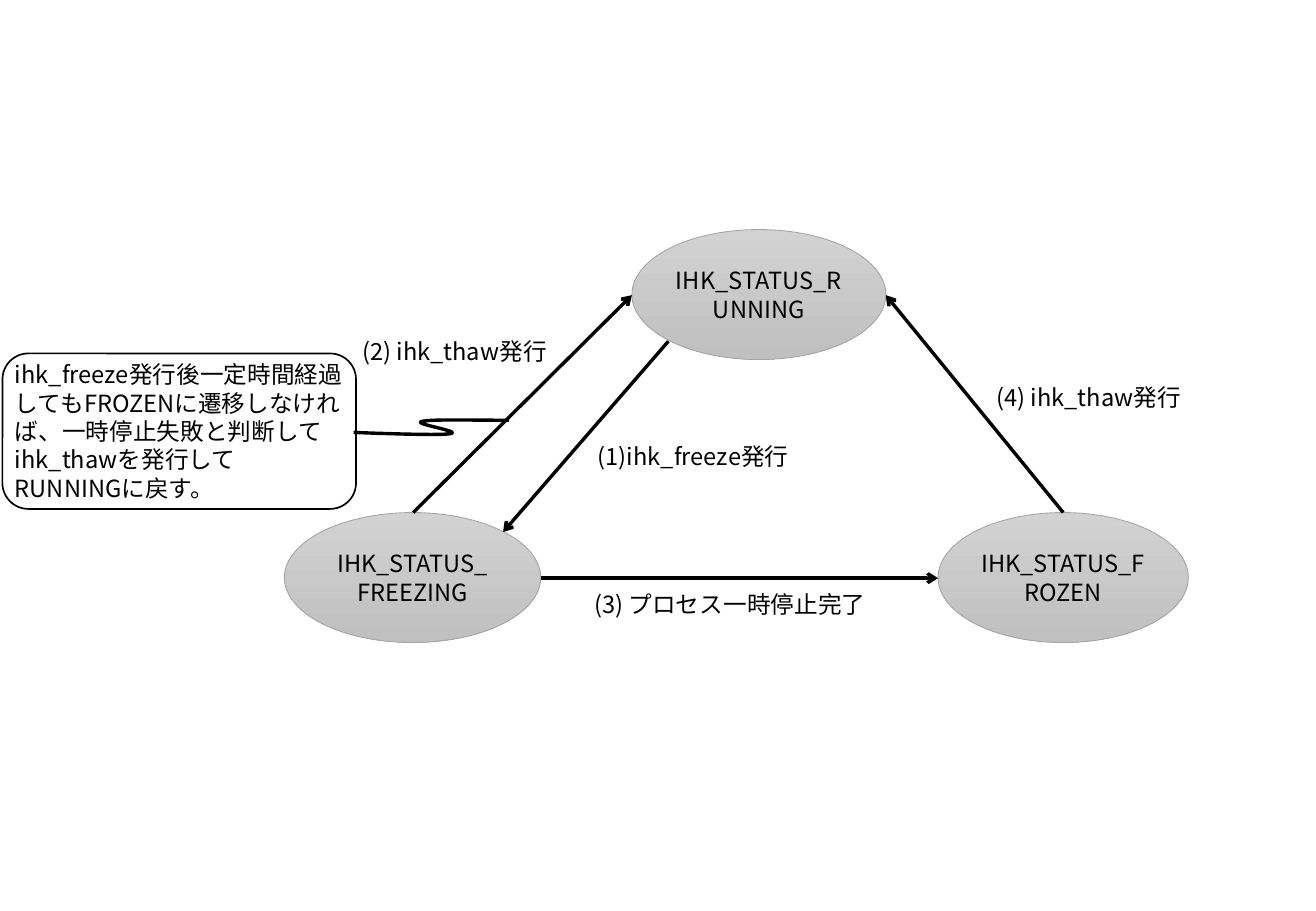
from lxml import etree
from pptx import Presentation
from pptx import util as u
from pptx.dml.color import RGBColor
from pptx.enum import shapes, text
from pptx.oxml import ns

FONT = "Noto Sans CJK JP"
BLACK = "000000"
STATE_TOP, STATE_BOTTOM = 1.89, 4.22
STATE_HEIGHT = 1.07
LABEL_HEIGHT = 0.32
INDENT = 0.16
STATES = [
    (["IHK_STATUS_RUNNING"], 5.2, STATE_TOP, 2.09),
    (["IHK_STATUS_", "FREEZING"], 2.34, STATE_BOTTOM, 2.11),
    (["IHK_STATUS_FROZEN"], 7.72, STATE_BOTTOM, 2.06),
]
ARROWS = [
    ((5.5, 2.81), (4.14, 4.38)),
    ((3.4, 4.22), (5.2, 2.43)),
    ((4.45, 4.76), (7.72, 4.76)),
    ((8.75, 4.22), (7.29, 2.43)),
]
LABELS = [
    ("(1)ihk_freeze発行", 4.88, 3.6, 1.88),
    ("(2) ihk_thaw発行", 2.94, 2.73, 1.8),
    ("(3) プロセス一時停止完了", 4.85, 4.82, 2.53),
    ("(4) ihk_thaw発行", 8.16, 3.11, 1.74),
]
NOTE = [
    "ihk_freeze発行後一定時間経過してもFROZENに遷移しなければ、一時停止失敗と判断してihk_thawを発行して",
    "RUNNINGに戻す。",
]
NOTE_BOX = (0.02, 2.91, 2.91, 1.28)
LEADER_START = (4.19, 3.46)
LEADER_CURVES = [
    ((3.87, 3.46), (3.55, 3.45), (3.47, 3.47)),
    ((3.39, 3.49), (3.8, 3.55), (3.71, 3.57)),
    ((3.62, 3.59), (2.91, 3.56), (2.91, 3.56)),
]
CURVE_STEPS = 16


def color(hex_value):
    return RGBColor.from_string(hex_value)


def inches(*values):
    return [u.Inches(value) for value in values]


def set_line(shape, hex_value, width):
    shape.line.color.rgb = color(hex_value)
    shape.line.width = u.Pt(width)


def write(shape, lines, align=text.PP_ALIGN.LEFT, anchor=text.MSO_ANCHOR.MIDDLE):
    frame = shape.text_frame
    frame.word_wrap = True
    frame.vertical_anchor = anchor
    for side in ("left", "top", "right", "bottom"):
        setattr(frame, f"margin_{side}", u.Inches(0.04))
    paragraph = frame.paragraphs[0]
    paragraph.alignment = align
    paragraph.line_spacing = u.Pt(16.8)
    for number, line in enumerate(lines):
        if number:
            paragraph.add_line_break()
        run = paragraph.add_run()
        run.text = line
        run.font.size = u.Pt(14)
        run.font.name = FONT
        run.font.color.rgb = color(BLACK)
        east_asian = etree.SubElement(run.font._element, ns.qn("a:ea"))
        east_asian.set("typeface", FONT)
    return paragraph


def add_state(slide, lines, left, top, width):
    box = inches(left, top, width, STATE_HEIGHT)
    shape = slide.shapes.add_shape(shapes.MSO_SHAPE.OVAL, *box)
    shape.shadow.inherit = False
    shape.fill.gradient()
    shape.fill.gradient_angle = 270
    for stop, hex_value, position in zip(shape.fill.gradient_stops, ("D2D2D2", "C0C0C0"), (0, 1)):
        stop.color.rgb = color(hex_value)
        stop.position = position
    set_line(shape, "A5A5A5", 0.5)
    write(shape, lines, text.PP_ALIGN.CENTER)


def add_arrow(slide, start, end):
    arrow = slide.shapes.add_connector(
        shapes.MSO_CONNECTOR.STRAIGHT, *inches(*start, *end))
    set_line(arrow, BLACK, 2)
    head = etree.SubElement(arrow.line._get_or_add_ln(), ns.qn("a:tailEnd"))
    head.set("type", "arrow")
    etree.SubElement(arrow._element.spPr, ns.qn("a:effectLst"))


def add_label(slide, label, left, top, width):
    box = slide.shapes.add_textbox(*inches(left, top, width, LABEL_HEIGHT))
    paragraph = write(box, [label], anchor=text.MSO_ANCHOR.TOP)
    box.text_frame.auto_size = text.MSO_AUTO_SIZE.SHAPE_TO_FIT_TEXT
    properties = paragraph._p.get_or_add_pPr()
    properties.set("marL", str(u.Inches(INDENT)))
    properties.set("indent", str(-u.Inches(INDENT)))


def add_note(slide):
    note = slide.shapes.add_shape(
        shapes.MSO_SHAPE.ROUNDED_RECTANGLE, *inches(*NOTE_BOX))
    note.shadow.inherit = False
    note.fill.solid()
    note.fill.fore_color.rgb = color("FFFFFF")
    set_line(note, BLACK, 1)
    write(note, NOTE)


def curve_point(points, t):
    weights = ((1 - t) ** 3, 3 * t * (1 - t) ** 2, 3 * t ** 2 * (1 - t), t ** 3)
    return tuple(
        u.Inches(sum(weight * point[axis] for weight, point in zip(weights, points)))
        for axis in (0, 1))


def add_leader(slide):
    start = LEADER_START
    builder = slide.shapes.build_freeform(*inches(*start))
    for curve in LEADER_CURVES:
        points = (start, *curve)
        builder.add_line_segments(
            [curve_point(points, step / CURVE_STEPS) for step in range(1, CURVE_STEPS + 1)],
            close=False)
        start = curve[-1]
    leader = builder.convert_to_shape()
    leader.shadow.inherit = False
    leader.fill.background()
    set_line(leader, BLACK, 2)


def main():
    presentation = Presentation()
    presentation.slide_width, presentation.slide_height = inches(10.83, 7.5)
    slide = presentation.slides.add_slide(presentation.slide_layouts[6])
    for state in STATES:
        add_state(slide, *state)
    for arrow in ARROWS:
        add_arrow(slide, *arrow)
    for label in LABELS:
        add_label(slide, *label)
    add_note(slide)
    add_leader(slide)
    presentation.save("out.pptx")


if __name__ == "__main__":
    main()
